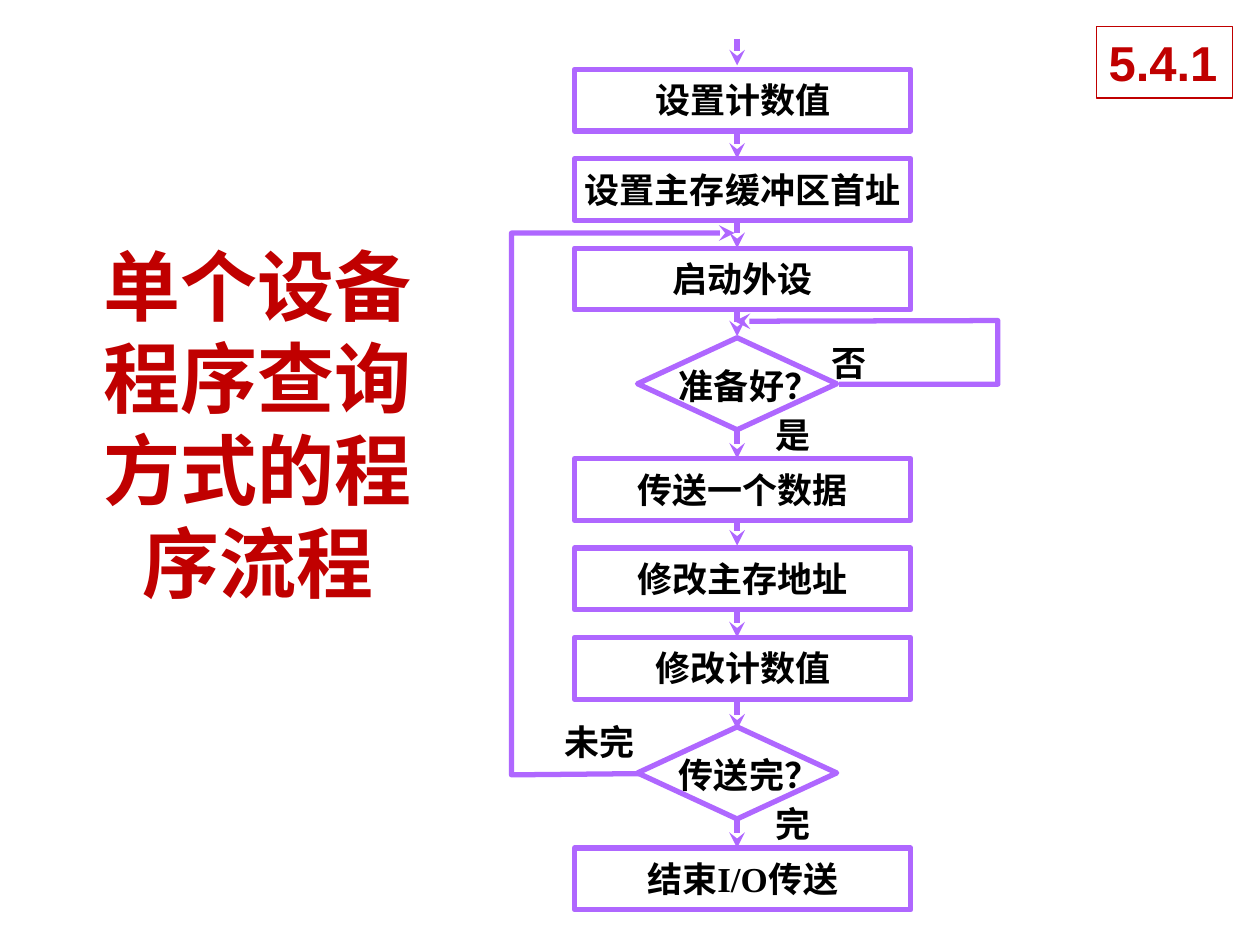
"""Build a slide with the flowchart of programmed polling for a single device."""
import pptx
import pptx.dml.color
import pptx.enum.shapes
import pptx.enum.text
import pptx.oxml
import pptx.oxml.ns
import pptx.util

Pt = pptx.util.Pt
SHAPE = pptx.enum.shapes.MSO_SHAPE
ALIGN = pptx.enum.text.PP_ALIGN
ANCHOR = pptx.enum.text.MSO_ANCHOR
FIT = pptx.enum.text.MSO_AUTO_SIZE.SHAPE_TO_FIT_TEXT

COLORS = {"flow": "AF67FF", "accent": "C00000", "text": "000000", "paper": "FFFFFF"}
CJK_FONT = "Noto Sans CJK SC"
STEP_TEXT = {"name": "Times New Roman", "size": Pt(20), "bold": True}
TITLE_TEXT = {"name": CJK_FONT, "size": Pt(44), "bold": True}
NUMBER_TEXT = {"name": "Arial", "size": Pt(28), "bold": True}
TITLE_FRAME = {"word_wrap": True, "vertical_anchor": ANCHOR.MIDDLE}
STEP_FRAME = {"word_wrap": False, "vertical_anchor": ANCHOR.MIDDLE,
              "margin_top": Pt(2.9), "margin_bottom": Pt(3.6)}
LABEL_FRAME = {"word_wrap": False, "auto_size": FIT, "vertical_anchor": ANCHOR.TOP}

AXIS = 421.2
BOX_LEFT, BOX_WIDTH, BOX_HEIGHT, BOX_STEP = 328.3, 192.2, 35.3, 51.1
DIAMOND_WIDTH, DIAMOND_HEIGHT = 113.8, 52.6
LABEL_HEIGHT = 31
STEP_GROUPS = {
    39.6: ["设置计数值", "设置主存缓冲区首址", "启动外设"],
    262.1: ["传送一个数据", "修改主存地址", "修改计数值"],
    484.6: ["结束I/O传送"],
}
DECISIONS = {193: "准备好？", 415.4: "传送完？"}
LABELS = [("未完", 315.4, 408.2, 54.7), ("是", 436.3, 232.6, 34.6),
          ("完", 436.3, 455, 34.6), ("否", 468, 191.5, 34.6)]
ARROWS = [(22.3, 37.4), (76.3, 90.7), (127.4, 141.8), (177.1, 192.2), (244.1, 262.1),
          (296.6, 311.8), (349.9, 364.3), (398.9, 416.9), (466.6, 484.6)]
LOOPS = [
    [(365.8, 442.1), (292.3, 442.8), (292.3, 133.2), (419.8, 133.2)],
    [(479.5, 219.6), (570.2, 219.6), (570.2, 183.2), (419.8, 183.6)],
]


def xml(tag, attributes=""):
    """Return an empty DrawingML element."""
    namespace = pptx.oxml.ns.nsdecls("a")
    return pptx.oxml.parse_xml(f"<a:{tag} {namespace} {attributes}/>")


def apply_format(target, values):
    """Set each named attribute on the target."""
    for name, value in values.items():
        setattr(target, name, value)


def rgb(name):
    """Return the named colour."""
    return pptx.dml.color.RGBColor.from_string(COLORS[name])


def write_text(box, text, font, frame, color="text", align=ALIGN.CENTER):
    """Write one formatted paragraph into a box."""
    apply_format(box.text_frame, frame)
    para = box.text_frame.paragraphs[0]
    para.alignment = align
    span = para.add_run()
    span.text = text
    apply_format(span.font, font)
    span.font.color.rgb = rgb(color)
    for properties in box.element.iter(pptx.oxml.ns.qn("a:rPr")):
        properties.append(xml("ea", f'typeface="{CJK_FONT}"'))


def draw_line(shape, color="flow", width=3, arrow=False):
    """Style the outline of a shape or connector."""
    shape.line.color.rgb = rgb(color)
    shape.line.width = Pt(width)
    if arrow:
        outline = shape.element.spPr.find(pptx.oxml.ns.qn("a:ln"))
        outline.append(xml("tailEnd", 'type="stealth"'))


def add_outline(page, kind, left, top, width, height):
    """Add an unfilled flowchart shape."""
    shape = page.shapes.add_shape(kind, Pt(left), Pt(top), Pt(width), Pt(height))
    shape.shadow.inherit = False
    shape.fill.background()
    draw_line(shape)
    return shape


def add_label(page, text, left, top, width):
    """Add a short flowchart text."""
    box = page.shapes.add_textbox(Pt(left), Pt(top), Pt(width), Pt(LABEL_HEIGHT))
    write_text(box, text, STEP_TEXT, LABEL_FRAME, align=ALIGN.LEFT)


def add_step(page, text, top):
    """Add a process box."""
    box = add_outline(page, SHAPE.RECTANGLE, BOX_LEFT, top, BOX_WIDTH, BOX_HEIGHT)
    write_text(box, text, STEP_TEXT, STEP_FRAME)


def add_decision(page, text, top):
    """Add a question and the diamond around it."""
    add_label(page, text, 380.9, top + 11.5, 94.3)
    add_outline(page, SHAPE.DIAMOND, AXIS - DIAMOND_WIDTH / 2, top,
                DIAMOND_WIDTH, DIAMOND_HEIGHT)


def add_arrow(page, start, end):
    """Add a downward arrow on the flow axis."""
    arrow = page.shapes.add_connector(pptx.enum.shapes.MSO_CONNECTOR.STRAIGHT,
                                      Pt(AXIS), Pt(start), Pt(AXIS), Pt(end))
    draw_line(arrow, arrow=True)
    arrow.element.spPr.append(xml("effectLst"))


def add_loop(page, points):
    """Add an open return path that ends in an arrowhead."""
    start, *rest = [(Pt(x), Pt(y)) for x, y in points]
    builder = page.shapes.build_freeform(*start)
    builder.add_line_segments(rest, close=False)
    loop = builder.convert_to_shape()
    loop.shadow.inherit = False
    loop.fill.background()
    draw_line(loop, arrow=True)


def add_title(page):
    """Add the slide title."""
    box = page.shapes.add_textbox(Pt(42.5), Pt(133.9), Pt(209.5), Pt(215.3))
    write_text(box, "单个设备程序查询方式的程序流程", TITLE_TEXT, TITLE_FRAME, "accent")


def add_section_number(page):
    """Add the framed section number."""
    box = page.shapes.add_textbox(Pt(626.4), Pt(15.1), Pt(77.8), Pt(41))
    box.fill.solid()
    box.fill.fore_color.rgb = rgb("paper")
    draw_line(box, "accent", 0.75)
    write_text(box, "5.4.1", NUMBER_TEXT, LABEL_FRAME, "accent", ALIGN.LEFT)


def main():
    """Build and save the deck."""
    deck = pptx.Presentation()
    apply_format(deck, {"slide_width": Pt(720), "slide_height": Pt(540)})
    page = deck.slides.add_slide(deck.slide_layouts[6])
    add_title(page)
    for first_top, steps in STEP_GROUPS.items():
        for index, text in enumerate(steps):
            add_step(page, text, first_top + index * BOX_STEP)
    for top, text in DECISIONS.items():
        add_decision(page, text, top)
    for start, end in ARROWS:
        add_arrow(page, start, end)
    for points in LOOPS:
        add_loop(page, points)
    for label in LABELS:
        add_label(page, *label)
    add_section_number(page)
    deck.save("out.pptx")


if __name__ == "__main__":
    main()
